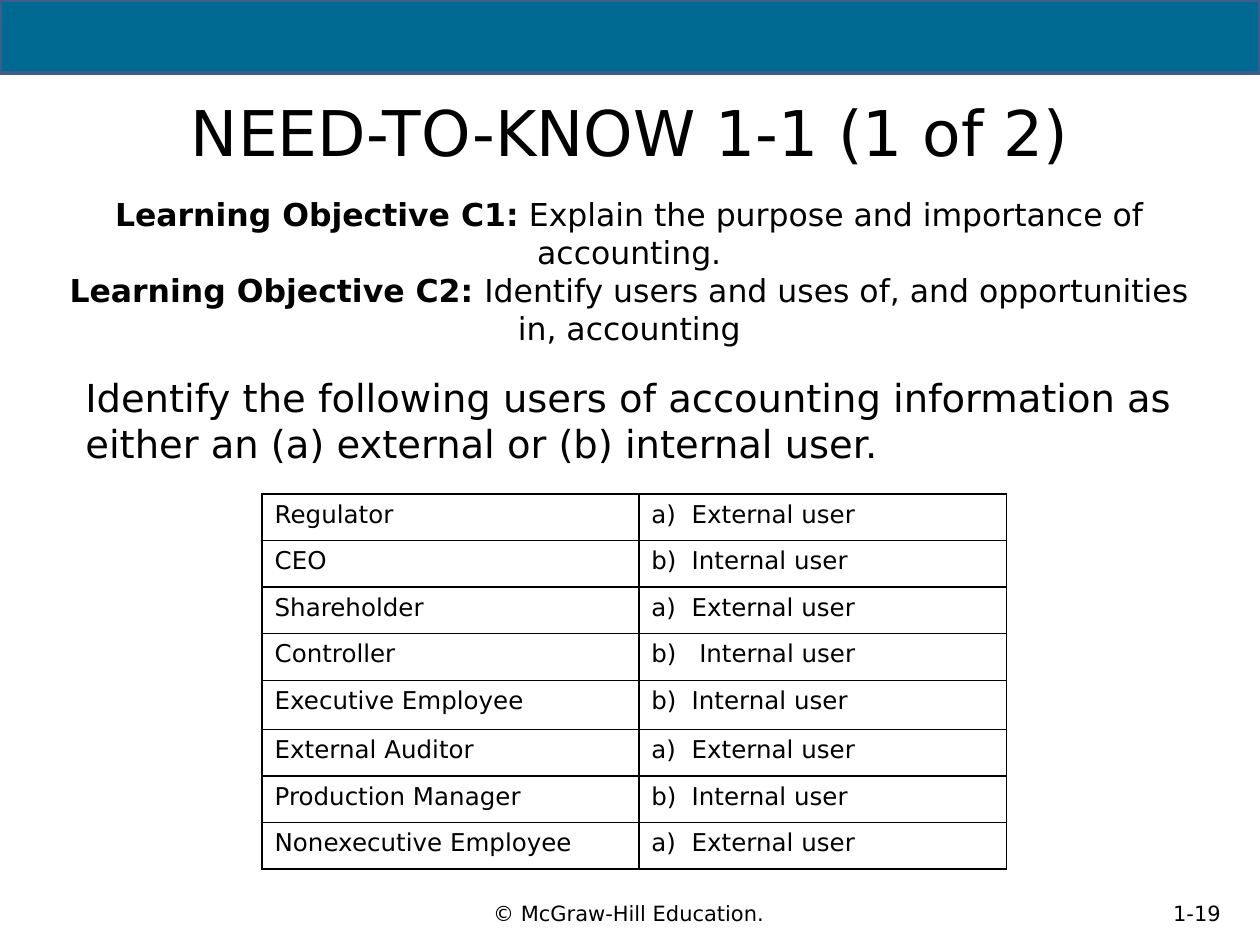
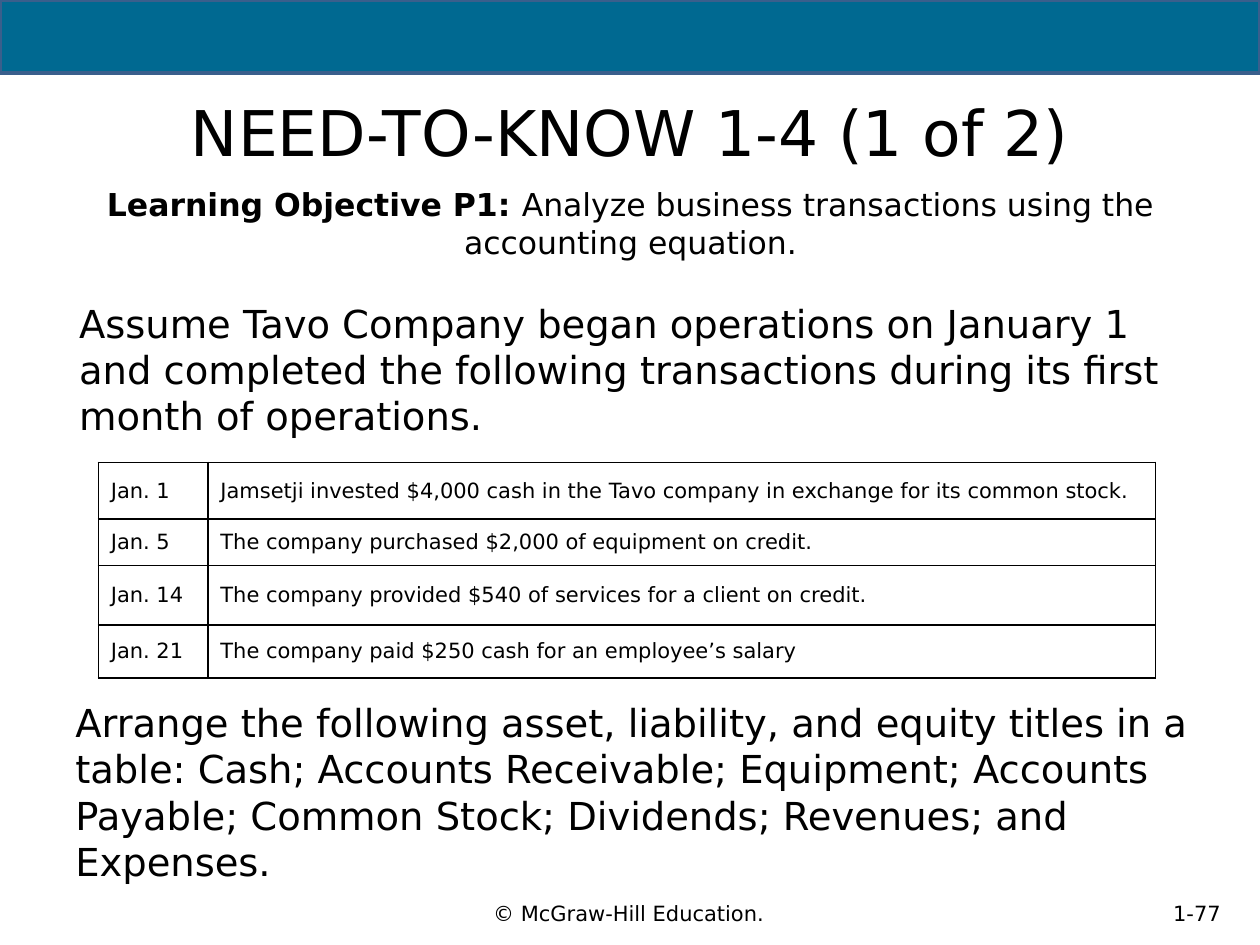
from lxml import etree
from pptx import Presentation
from pptx.dml.color import RGBColor
from pptx.enum.shapes import MSO_SHAPE
from pptx.enum.text import MSO_ANCHOR, PP_ALIGN
from pptx.oxml.ns import qn
from pptx.util import Inches, Pt

RECTANGLE = MSO_SHAPE.RECTANGLE
TOP, MIDDLE = MSO_ANCHOR.TOP, MSO_ANCHOR.MIDDLE
LEFT, CENTER = PP_ALIGN.LEFT, PP_ALIGN.CENTER

FONT = "DejaVu Sans"
INK, BAND_FILL, BAND_EDGE = "000000", "006991", "3A5F8C"
WIDTH, HEIGHT = 10, 7.5
BAND_HEIGHT, TITLE_HEIGHT, FOOTER_HEIGHT = 0.58, 0.92, 0.5
FOOTER_TOP = HEIGHT - FOOTER_HEIGHT
TITLE_SIZE, QUESTION_SIZE, OBJECTIVE_SIZE, FOOTER_SIZE = 36, 22, 18, 12
MARKER_GAP, NUMBERED_INDENT = 0.32, 0.38

COPYRIGHT = "© McGraw-Hill Education."
EXTERNAL, INTERNAL = "a)\tExternal user", "b)\tInternal user"
NUMBERED_INTERNAL = "Internal user"

LESSONS = [
    {
        "title": "NEED-TO-KNOW 1-1 (1 of 2)",
        "page": "1-19",
        "objectives": [
            ("Learning Objective C1:", " Explain the purpose and importance of accounting."),
            ("Learning Objective C2: ",
             "Identify users and uses of, and opportunities in, accounting"),
        ],
        "objectives_at": (0.33, 1.5, 9.33, 1.25),
        "questions": [
            ("Identify the following users of accounting information as either "
             "an (a) external or (b) internal user.", (0.58, 2.92, 8.83, 0.92)),
        ],
        "rows": [
            ("Regulator", EXTERNAL),
            ("CEO", INTERNAL),
            ("Shareholder", EXTERNAL),
            ("Controller", NUMBERED_INTERNAL),
            ("Executive Employee", INTERNAL),
            ("External Auditor", EXTERNAL),
            ("Production Manager", INTERNAL),
            ("Nonexecutive Employee", EXTERNAL),
        ],
        "table_at": (2.08, 3.92),
        "columns": (2.99, 2.92),
        "row_heights": [0.37] * 4 + [0.39] + [0.37] * 3,
        "cell_format": {"size": 14, "anchor": TOP},
    },
    {
        "title": "NEED-TO-KNOW 1-4 (1 of 2)",
        "page": "1-77",
        "objectives": [
            ("Learning Objective P1: ",
             "Analyze business transactions using the accounting equation."),
        ],
        "objectives_at": (0.42, 1.42, 9.17, 0.75),
        "questions": [
            ("Assume Tavo Company began operations on January 1 and completed the "
             "following transactions during its first month of operations.",
             (0.53, 2.33, 8.92, 1.25)),
            ("Arrange the following asset, liability, and equity titles in a table: "
             "Cash; Accounts Receivable; Equipment; Accounts Payable; Common Stock; "
             "Dividends; Revenues; and Expenses.", (0.5, 5.5, 9.08, 1.5)),
        ],
        "rows": [
            ("Jan. 1", "Jamsetji invested $4,000 cash in the Tavo company in exchange "
                       "for its common stock."),
            ("Jan. 5", "The company purchased $2,000 of equipment on credit."),
            ("Jan. 14", "The company provided $540 of services for a client on credit."),
            ("Jan. 21", "The company paid $250 cash for an employee’s salary"),
        ],
        "table_at": (0.78, 3.67),
        "columns": (0.87, 7.52),
        "row_heights": [0.45, 0.37, 0.47, 0.42],
        "cell_format": {"size": 12, "anchor": MIDDLE},
    },
]


def color(value):
    return RGBColor.from_string(value)


def add_child(parent, tag, **attributes):
    return etree.SubElement(parent, qn(tag), {k: str(v) for k, v in attributes.items()})


def mark_answer(paragraph, text):
    properties = paragraph._p.get_or_add_pPr()
    if text == NUMBERED_INTERNAL:
        indent = Inches(NUMBERED_INDENT)
        properties.set("marL", str(indent))
        properties.set("indent", str(-indent))
        add_child(properties, "a:buAutoNum", type="alphaLcParenR", startAt=2)
    elif "\t" in text:
        stops = add_child(properties, "a:tabLst")
        add_child(stops, "a:tab", pos=Inches(MARKER_GAP), algn="l")


def write(frame, paragraphs, size, align=LEFT):
    for index, content in enumerate(paragraphs):
        paragraph = frame.paragraphs[0] if index == 0 else frame.add_paragraph()
        lead, body = content if isinstance(content, tuple) else ("", content)
        mark_answer(paragraph, body)
        paragraph.alignment = align
        for text, bold in ((lead, True), (body, False)):
            if text:
                run = paragraph.add_run()
                run.text = text
                run.font.name = FONT
                run.font.size = Pt(size)
                run.font.bold = bold
                run.font.color.rgb = color(INK)


def add_text(slide, paragraphs, at, size, align=LEFT, anchor=TOP):
    frame = slide.shapes.add_textbox(*map(Inches, at)).text_frame
    frame.word_wrap = True
    frame.vertical_anchor = anchor
    write(frame, paragraphs, size, align)


def add_frame(slide, title, page):
    band = slide.shapes.add_shape(RECTANGLE, 0, 0, Inches(WIDTH), Inches(BAND_HEIGHT))
    band.shadow.inherit = False
    band.fill.solid()
    band.fill.fore_color.rgb = color(BAND_FILL)
    band.line.color.rgb = color(BAND_EDGE)
    band.line.width = Pt(2)
    centered = {"align": CENTER, "anchor": MIDDLE}
    add_text(slide, [page], (9, FOOTER_TOP, 1, FOOTER_HEIGHT), FOOTER_SIZE, **centered)
    add_text(slide, [COPYRIGHT], (0.94, FOOTER_TOP, 8.1, FOOTER_HEIGHT),
             FOOTER_SIZE, **centered)
    add_text(slide, [title], (0, BAND_HEIGHT, WIDTH, TITLE_HEIGHT), TITLE_SIZE, **centered)


def outline(cell):
    properties = cell._tc.get_or_add_tcPr()
    for edge in ("a:lnL", "a:lnR", "a:lnT", "a:lnB"):
        line = add_child(properties, edge, w=Pt(1))
        add_child(add_child(line, "a:solidFill"), "a:srgbClr", val=INK)


def add_grid(slide, rows, at, columns, row_heights, size, anchor):
    box = (*at, sum(columns), sum(row_heights))
    grid = slide.shapes.add_table(len(rows), len(columns), *map(Inches, box)).table
    grid.first_row = grid.horz_banding = False
    for column, width in zip(grid.columns, columns):
        column.width = Inches(width)
    for row, height, texts in zip(grid.rows, row_heights, rows):
        row.height = Inches(height)
        for cell, text in zip(row.cells, texts):
            outline(cell)
            cell.fill.background()
            cell.vertical_anchor = anchor
            write(cell.text_frame, [text], size)


def main():
    deck = Presentation()
    deck.slide_width, deck.slide_height = Inches(WIDTH), Inches(HEIGHT)
    for lesson in LESSONS:
        slide = deck.slides.add_slide(deck.slide_layouts[6])
        add_frame(slide, lesson["title"], lesson["page"])
        add_text(slide, lesson["objectives"], lesson["objectives_at"],
                 OBJECTIVE_SIZE, align=CENTER)
        for question, at in lesson["questions"]:
            add_text(slide, [question], at, QUESTION_SIZE)
        add_grid(slide, lesson["rows"], lesson["table_at"], lesson["columns"],
                 lesson["row_heights"], **lesson["cell_format"])
    deck.save("out.pptx")


if __name__ == "__main__":
    main()
